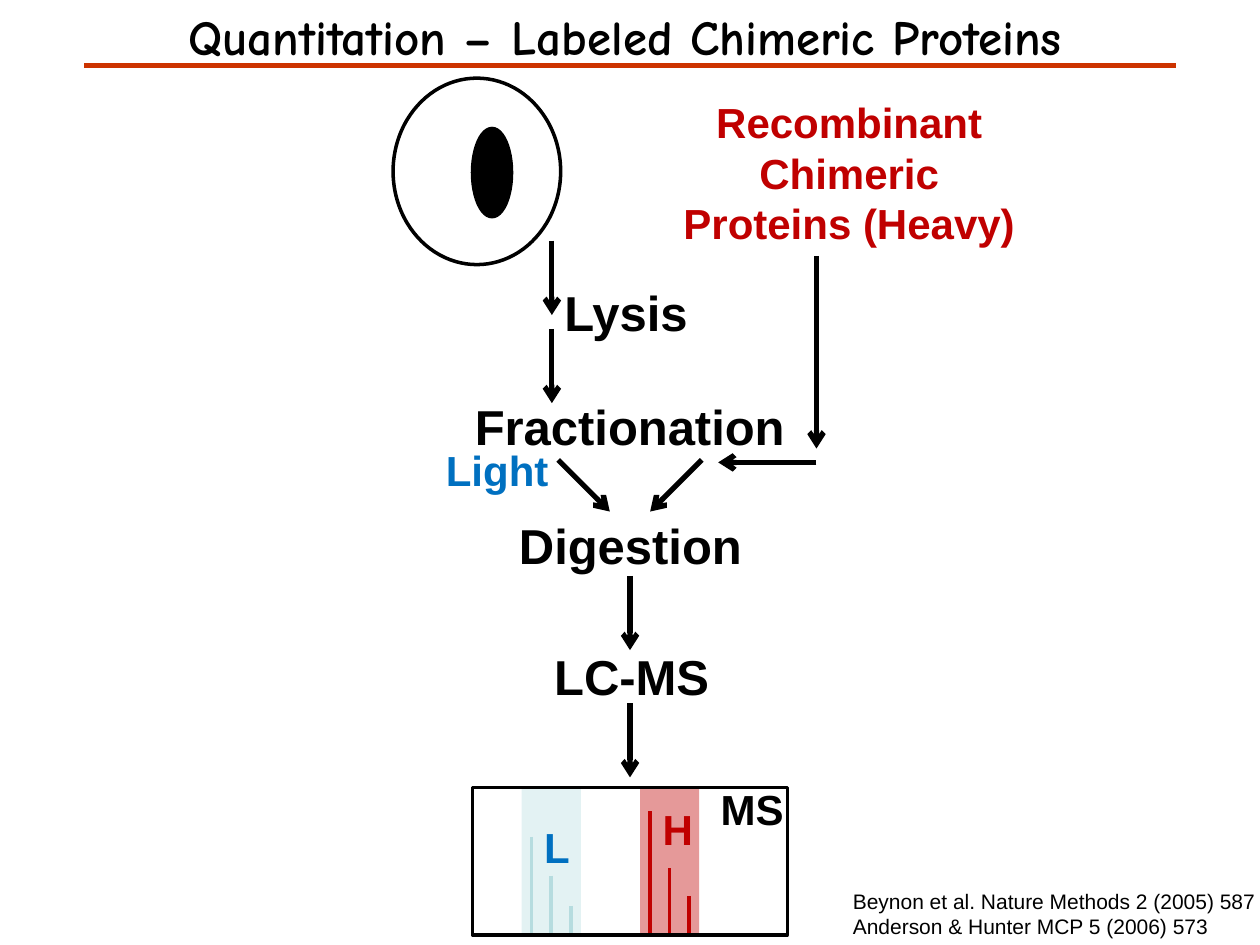
from lxml import etree
from pptx import Presentation
from pptx.dml.color import RGBColor
from pptx.enum.shapes import MSO_CONNECTOR, MSO_SHAPE
from pptx.enum.text import MSO_ANCHOR, MSO_AUTO_SIZE, PP_ALIGN
from pptx.oxml.ns import qn
from pptx.util import Inches, Pt

STRAIGHT = MSO_CONNECTOR.STRAIGHT
RECTANGLE, OVAL = MSO_SHAPE.RECTANGLE, MSO_SHAPE.OVAL
LEFT, CENTER = PP_ALIGN.LEFT, PP_ALIGN.CENTER
TOP = MSO_ANCHOR.TOP
FIT_SHAPE, FIT_NONE = MSO_AUTO_SIZE.SHAPE_TO_FIT_TEXT, MSO_AUTO_SIZE.NONE

BLACK = RGBColor(0x00, 0x00, 0x00)
RED = RGBColor(0xC0, 0x00, 0x00)
BLUE = RGBColor(0x00, 0x70, 0xC0)
PALE_TEAL = RGBColor(0xBB, 0xE0, 0xE3)
PEAK_TEAL = RGBColor(0xB6, 0xDC, 0xDF)
RULE_ORANGE = RGBColor(0xCC, 0x33, 0x00)

prs = Presentation()
prs.slide_width, prs.slide_height = Inches(10), Inches(7.5)
slide = prs.slides.add_slide(prs.slide_layouts[5])
shapes = slide.shapes


def add_line(x1, y1, x2, y2, color, width, arrow=False):
    line = shapes.add_connector(STRAIGHT, Inches(x1), Inches(y1), Inches(x2), Inches(y2))
    line.line.color.rgb = color
    line.line.width = Pt(width)
    if arrow:
        etree.SubElement(line.line._get_or_add_ln(), qn("a:tailEnd"), type="arrow")
    etree.SubElement(line._element.spPr, qn("a:effectLst"))


def add_label(lines, x, y, w, h, size, color, bold=True, align=LEFT, wrap=False):
    frame = shapes.add_textbox(Inches(x), Inches(y), Inches(w), Inches(h)).text_frame
    frame.word_wrap = wrap
    frame.auto_size = FIT_SHAPE
    frame.text = "\n".join(lines)
    for paragraph in frame.paragraphs:
        paragraph.alignment = align
        paragraph.font.name = "Arial"
        paragraph.font.size = Pt(size)
        paragraph.font.bold = bold
        paragraph.font.color.rgb = color


# Title and rule
title = shapes.title
title.left, title.top, title.width, title.height = Inches(0.96), 0, Inches(8), Inches(0.57)
title.text_frame.text = "Quantitation – Labeled Chimeric Proteins"
title.text_frame.vertical_anchor = TOP
title.text_frame.auto_size = FIT_NONE
heading = title.text_frame.paragraphs[0]
heading.alignment = CENTER
heading.font.name = "Comic Neue"
heading.font.size = Pt(28)
heading.font.bold = True
heading.font.color.rgb = BLACK
add_line(0.67, 0.52, 9.33, 0.52, RULE_ORANGE, 2.5)

# Spectrum: a tinted band, three peaks and a label for each isotope form
BASELINE = 7.42
isotopes = [
    ("L", 4.14, PALE_TEAL, PEAK_TEAL, BLUE, (6.64, 6.95, 7.19), (4.22, 6.47, 0.41)),
    ("H", 5.08, RED, RED, RED, (6.44, 6.89, 7.11), (5.16, 6.33, 0.45)),
]
for name, left, tint, peak_color, text_color, peak_tops, (x, y, w) in isotopes:
    band = shapes.add_shape(RECTANGLE, Inches(left), Inches(6.25), Inches(0.47), Inches(1.17))
    band.shadow.inherit = False
    band.fill.solid()
    band.fill.fore_color.rgb = tint
    tint_xml = band._element.spPr.find(qn("a:solidFill"))[0]
    etree.SubElement(tint_xml, qn("a:alpha"), val="40000")
    band.line.fill.background()
    for i, peak_top in enumerate(peak_tops):
        peak_x = left + 0.08 + 0.155 * i
        add_line(peak_x, peak_top, peak_x, BASELINE, peak_color, 2)
    add_label([name], x, y, w, 0.51, 24, text_color)

# Cell, nucleus and spectrum frame
for kind, x, y, w, h, filled in [
    (OVAL, 3.12, 0.62, 1.33, 1.48, False),
    (OVAL, 3.75, 1.02, 0.31, 0.7, True),
    (RECTANGLE, 3.75, 6.25, 2.5, 1.17, False),
]:
    outline = shapes.add_shape(kind, Inches(x), Inches(y), Inches(w), Inches(h))
    outline.shadow.inherit = False
    outline.line.color.rgb = BLACK
    outline.line.width = Pt(2)
    if filled:
        outline.fill.solid()
        outline.fill.fore_color.rgb = BLACK
    else:
        outline.fill.background()

# Workflow steps
for step, x, y, w in [
    ("Lysis", 4.38, 2.19, 1.19),
    ("Fractionation", 3.67, 3.1, 2.69),
    ("Digestion", 4.02, 4.04, 1.99),
    ("LC-MS", 4.3, 5.08, 1.45),
]:
    add_label([step], x, y, w, 0.57, 28, BLACK)

# Sample labels
add_label(["Light"], 3.44, 3.48, 1.02, 0.51, 24, BLUE)
add_label(["MS"], 5.62, 6.17, 0.71, 0.51, 24, BLACK)
add_label(["Recombinant", "Chimeric", "Proteins (Heavy)"],
          5.31, 0.72, 2.86, 1.31, 24, RED, align=CENTER)

# Workflow arrows
for x, y in [(4.38, 1.91), (4.38, 2.61), (5, 4.57), (5, 5.58)]:
    add_line(x, y, x, y + 0.59, BLACK, 3, arrow=True)
for side in (-1, 1):
    add_line(5 + side * 0.57, 3.65, 5 + side * 0.16, 4.06, BLACK, 3, arrow=True)
add_line(6.48, 2.03, 6.48, 3.56, BLACK, 3, arrow=True)
add_line(6.48, 3.67, 5.7, 3.67, BLACK, 3, arrow=True)

# References
add_label(["Beynon et al. Nature Methods 2 (2005) 587", "Anderson & Hunter MCP 5 (2006) 573"],
          6.67, 7, 3.42, 0.5, 12, BLACK, bold=False, wrap=True)

prs.save("out.pptx")
